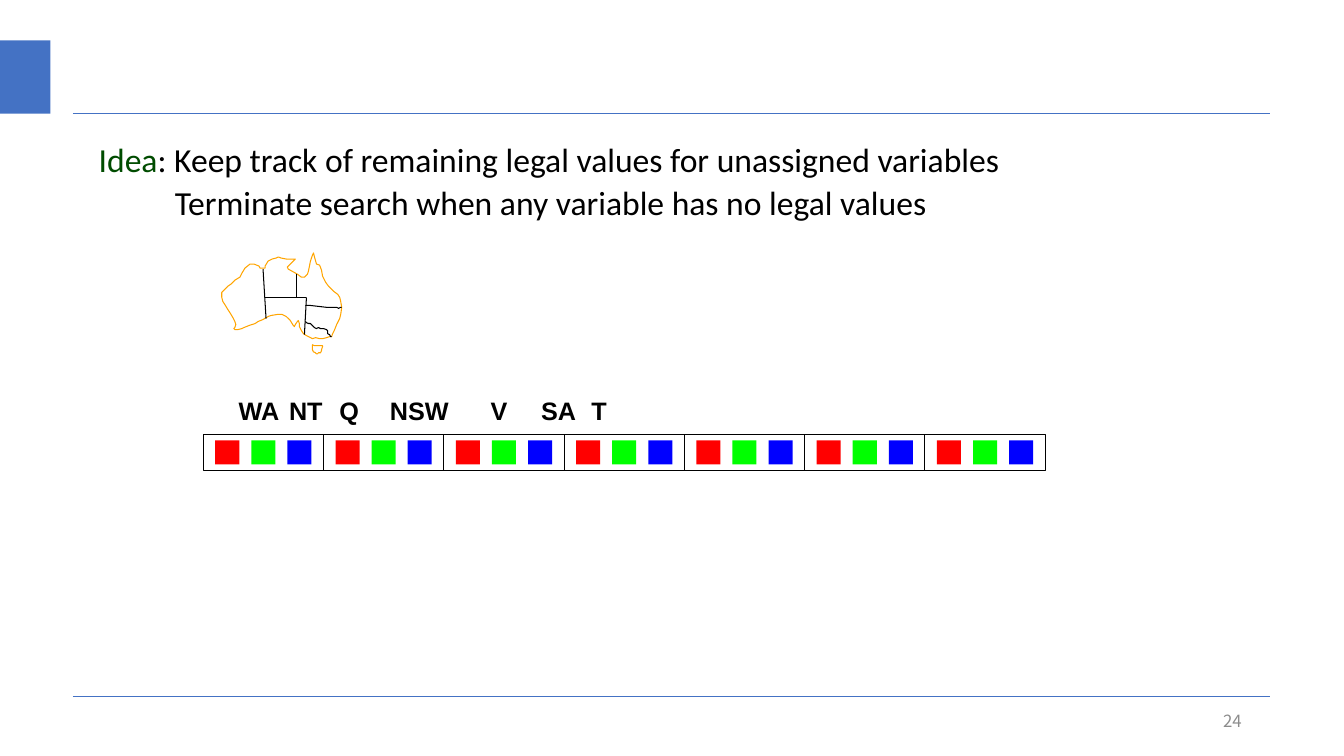
import pptx
import pptx.util
import pptx.dml.color
import pptx.enum.shapes
import pptx.enum.text
import pptx.oxml

Pt = pptx.util.Pt
Color = pptx.dml.color.RGBColor
Align = pptx.enum.text.PP_ALIGN
Anchor = pptx.enum.text.MSO_ANCHOR
RECT = pptx.enum.shapes.MSO_SHAPE.RECTANGLE
LINE = pptx.enum.shapes.MSO_CONNECTOR.STRAIGHT

ACCENT = Color(0x44, 0x72, 0xC4)
GRAY = Color(0x8C, 0x8C, 0x8C)
DARK = Color(0x00, 0x4C, 0x00)
BLACK = Color(0, 0, 0)
RED = Color(0xFF, 0, 0)
GREEN = Color(0, 0xFF, 0)
BLUE = Color(0, 0, 0xFF)
ORANGE = Color(0xFF, 0xA5, 0)

STATES = ["WA", "NT", "Q", "NSW", "V", "SA", "T"]
VALUES = [RED, GREEN, BLUE]

COAST = [
    (54, 5), (50, 6), (46, 8), (43, 13), (43, 15), (39, 15), (38, 15),
    (37, 13), (32, 11), (28, 11), (23, 15), (20, 20), (18, 24), (13, 27),
    (9, 31), (6, 33), (3, 36), (0, 39), (0, 44), (1, 48), (3, 51), (6, 56),
    (8, 59), (11, 64), (13, 68), (14, 71), (13, 74), (12, 75), (13, 76),
    (16, 76), (20, 75), (22, 74), (27, 72), (30, 71), (33, 70), (36, 68),
    (41, 66), (46, 63), (49, 62), (55, 61), (60, 61), (64, 63), (68, 67),
    (71, 72), (72, 73), (73, 71), (75, 68), (76, 67), (77, 70), (77, 73),
    (79, 77), (81, 80), (84, 82), (88, 84), (90, 85), (93, 84), (97, 85),
    (100, 85), (104, 84), (107, 83), (109, 83), (110, 80), (112, 76),
    (114, 71), (117, 65), (118, 61), (119, 54), (118, 48), (117, 44),
    (115, 41), (111, 38), (106, 33), (103, 29), (100, 23), (99, 17),
    (97, 12), (94, 11), (92, 4), (91, 0), (90, 2), (89, 5), (88, 8),
    (87, 13), (86, 18), (85, 21), (83, 23), (82, 24), (79, 24), (75, 21),
    (66, 16), (65, 14), (68, 11), (70, 9), (72, 7), (73, 6), (70, 6),
    (64, 6), (59, 5), (56, 4)]
ISLE = [
    (90, 91), (90, 96), (91, 98), (93, 99), (94, 100), (95, 100), (96, 99),
    (98, 99), (99, 97), (99, 96), (100, 93), (100, 92), (98, 92), (94, 92),
    (92, 92)]
BORDERS = [
    [(82, 81), (84, 44)],
    [(74, 44), (74, 21)],
    [(83, 52), (87, 52), (104, 54), (110, 54), (112, 54), (114, 54),
     (116, 55), (118, 54), (119, 54)],
    [(83, 68), (84, 69), (86, 70), (88, 70), (89, 71), (90, 72), (92, 74),
     (94, 75), (96, 74), (98, 75), (101, 75), (104, 76), (105, 77),
     (105, 80), (107, 81), (108, 83), (109, 83)],
    [(41, 16), (44, 65)],
    [(84, 44), (43, 44)]]


def box(slide, left, top, width, height, fill=None, line=None):
    shape = slide.shapes.add_shape(
        RECT, Pt(left), Pt(top), Pt(width), Pt(height))
    shape.shadow.inherit = False
    paint(shape, fill, line)


def paint(shape, fill, line):
    if fill is None:
        shape.fill.background()
    else:
        shape.fill.solid()
        shape.fill.fore_color.rgb = fill
    if line is None:
        shape.line.fill.background()
    else:
        shape.line.color.rgb = line
        shape.line.width = Pt(0)


def rule(slide, left, top, width):
    line = slide.shapes.add_connector(
        LINE, Pt(left), Pt(top), Pt(left + width), Pt(top))
    line.line.color.rgb = ACCENT
    line.line.width = Pt(0.5)
    effect = pptx.oxml.parse_xml(
        '<a:effectLst xmlns:a='
        '"http://schemas.openxmlformats.org/drawingml/2006/main"/>')
    line._element.spPr.append(effect)


def frame(slide, left, top, width, height):
    area = slide.shapes.add_textbox(
        Pt(left), Pt(top), Pt(width), Pt(height)).text_frame
    area.word_wrap = True
    return area


def write(para, text, font, size, color, bold=False):
    run = para.add_run()
    run.text = text
    run.font.name = font
    run.font.size = Pt(size)
    run.font.color.rgb = color
    run.font.bold = bold


def outline(slide, left, top, points, color, closed):
    path = slide.shapes.build_freeform(*points[0], scale=Pt(0.72))
    path.add_line_segments(points[1:], close=closed)
    shape = path.convert_to_shape(Pt(left), Pt(top))
    shape.shadow.inherit = False
    paint(shape, None, color)


def draw_trim(slide, left, top, width, height):
    rule(slide, left + 52, top + height - 42.6, width - 105)
    box(slide, left, top + 28.8, 36, 52.4, ACCENT)
    rule(slide, left + 52, top + 81, width - 105)
    area = frame(slide, left + 678, top + height - 39.6, 216, 28.8)
    area.vertical_anchor = Anchor.MIDDLE
    para = area.paragraphs[0]
    para.alignment = Align.RIGHT
    write(para, "24", "Noto Sans CJK SC", 12, GRAY)


def draw_idea(slide, left, top, width, height):
    area = frame(slide, left, top, width, height)
    first = area.paragraphs[0]
    write(first, "Idea", "Calibri", 24, DARK)
    write(first, ": Keep track of remaining legal values for unassigned "
          "variables", "Calibri", 24, BLACK)
    second = area.add_paragraph()
    second._p.get_or_add_pPr().set("marL", str(Pt(54.4)))
    write(second, "Terminate search when any variable has no legal values",
          "Calibri", 24, BLACK)
    for para in area.paragraphs:
        para.line_spacing = 1.07


def draw_map(slide, left, top):
    for shore in (COAST, ISLE):
        outline(slide, left, top, shore, ORANGE, True)
    for border in BORDERS:
        outline(slide, left, top, border, BLACK, False)


def draw_names(slide, left, top, width, height):
    para = frame(slide, left, top, width, height).paragraphs[0]
    para.line_spacing = 1.07
    write(para, "\t".join(STATES), "Arial", 18, BLACK, True)


def draw_cells(slide, left, top, width):
    cell = width / len(STATES)
    unit = cell / (3 * len(VALUES) + 1)
    for col in range(len(STATES)):
        start = left + col * cell
        for pos, color in enumerate(VALUES):
            box(slide, start + unit * (1 + 3 * pos), top + unit / 2,
                2 * unit, 2 * unit, color)
        box(slide, start, top, cell, 3 * unit, line=BLACK)


deck = pptx.Presentation()
deck.slide_width = Pt(960)
deck.slide_height = Pt(540)
page = deck.slides.add_slide(deck.slide_layouts[6])
draw_trim(page, 0, 0, 960, 540)
draw_idea(page, 63.4, 93.6, 838.8, 68.4)
draw_map(page, 158.4, 180.7)
draw_names(page, 163.4, 277.2, 656.6, 29.5)
draw_cells(page, 145.2, 310.3, 601.4)
deck.save("out.pptx")
